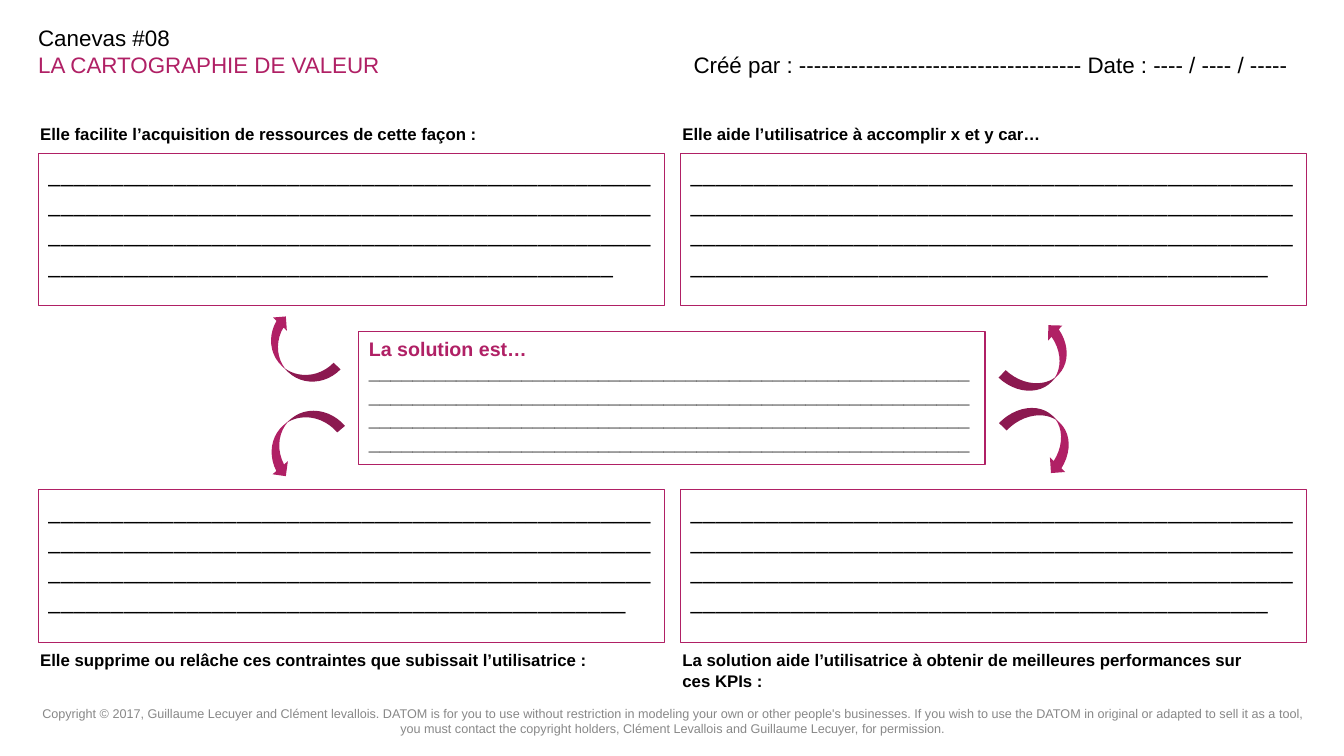
import pptx
import pptx.util
import pptx.dml.color
import pptx.enum.shapes
import pptx.enum.text

Inches = pptx.util.Inches
Pt = pptx.util.Pt
Align = pptx.enum.text.PP_ALIGN
Preset = pptx.enum.shapes.MSO_SHAPE
COLORS = {"accent": "B02065", "ink": "000000", "muted": "888888"}

deck = pptx.Presentation()
deck.slide_width, deck.slide_height = Inches(13.33), Inches(7.5)
canvas = deck.slides.add_slide(deck.slide_layouts[6])


def prepare(holder, inset_y, anchor=pptx.enum.text.MSO_ANCHOR.TOP):
    frame = holder.text_frame
    settings = {"word_wrap": True, "vertical_anchor": anchor,
                "margin_left": Inches(0.1), "margin_right": Inches(0.1),
                "margin_top": Inches(inset_y), "margin_bottom": Inches(inset_y)}
    for key, value in settings.items():
        setattr(frame, key, value)
    return frame


def write(paragraph, words, size, color="ink", bold=False, face="Arial", align=Align.LEFT):
    paragraph.alignment = align
    run = paragraph.add_run()
    run.text = words
    for key, value in {"size": Pt(size), "bold": bold, "name": face}.items():
        setattr(run.font, key, value)
    run.font.color.rgb = pptx.dml.color.RGBColor.from_string(COLORS[color])


margin, column_step = 0.38, 6.37
first_row, row_step = 1.52, 3.34
box_width, box_height = 6.21, 1.51
header_top, header_width, header_height = 0.14, 6.39, 0.44

copyright_box = canvas.shapes.add_textbox(Inches(0.31), Inches(6.94), Inches(12.72), Inches(0.56))
copyright_text = prepare(copyright_box, 0.05, pptx.enum.text.MSO_ANCHOR.MIDDLE)
copyright_text.margin_bottom = Inches(0.19)
write(copyright_text.paragraphs[0],
      "Copyright © 2017, Guillaume Lecuyer and Clément levallois. DATOM is for you to use without "
      "restriction in modeling your own or other people's businesses. If you wish to use the DATOM "
      "in original or adapted to sell it as a tool, you must contact the copyright holders, "
      "Clément Levallois and Guillaume Lecuyer, for permission.",
      9, "muted", align=Align.CENTER)

headers = []
for left in (0.28, 6.78):
    header = canvas.shapes.add_textbox(Inches(left), Inches(header_top),
                                       Inches(header_width), Inches(header_height))
    headers.append(prepare(header, 0.1).paragraphs[0])
title, author = headers
write(title, "Canevas #08", 16)
title.add_line_break()
write(title, "LA CARTOGRAPHIE DE VALEUR", 16, "accent")
write(author, "Créé par : " + "-" * 38 + " Date : ---- / ---- / -----", 16)
author.line_spacing = 2.0
author.space_after = Pt(6)

quadrants = [
    (0, 0, "Elle facilite l’acquisition de ressources de cette façon :", 189),
    (1, 0, "Elle aide l’utilisatrice à accomplir x et y car…", 190),
    (0, 1, "Elle supprime ou relâche ces contraintes que subissait l’utilisatrice :", 190),
    (1, 1, "La solution aide l’utilisatrice à obtenir de meilleures performances sur ces KPIs :", 190),
]
label_rows = [(1.13, 0.39), (6.35, 0.69)]
answers = []
for column, row, question, blanks in quadrants:
    left = margin + column * column_step
    label_top, label_height = label_rows[row]
    label = canvas.shapes.add_textbox(Inches(left - 0.08), Inches(label_top),
                                      Inches(6.06), Inches(label_height))
    write(prepare(label, 0.1).paragraphs[0], question, 12, bold=True)
    answers.append((left, first_row + row * row_step, box_height, blanks))

solution_left, solution_top, solution_height = 3.56, 3.29, 1.32
answers.append((solution_left, solution_top, solution_height, 220))
for left, top, height, blanks in answers:
    answer = canvas.shapes.add_shape(Preset.RECTANGLE, Inches(left), Inches(top),
                                     Inches(box_width), Inches(height))
    answer.shadow.inherit = False
    answer.fill.background()
    answer.line.color.rgb = pptx.dml.color.RGBColor.from_string(COLORS["accent"])
    answer.line.width = Pt(0.75)
    frame = prepare(answer, 0.05)
    if top == solution_top:
        write(frame.paragraphs[0], "La solution est…", 14, "accent", bold=True)
        write(frame.add_paragraph(), "_" * blanks, 14, bold=True)
    else:
        write(frame.paragraphs[0], "_" * blanks, 18, face="Calibri", align=Align.JUSTIFY)

arrows = [
    (2.75, 3.08, 0.38, 0.85, 134.1, True),
    (10.13, 3.18, 0.41, 0.82, 223.5, False),
    (10.14, 3.92, 0.42, 0.82, 313.9, True),
    (2.76, 3.92, 0.4, 0.87, 49.6, False),
]
for left, top, width, height, angle, flipped in arrows:
    arrow = canvas.shapes.add_shape(Preset.CURVED_RIGHT_ARROW, Inches(left), Inches(top),
                                    Inches(width), Inches(height))
    arrow.shadow.inherit = False
    arrow.fill.solid()
    arrow.fill.fore_color.rgb = pptx.dml.color.RGBColor.from_string(COLORS["accent"])
    arrow.line.fill.background()
    arrow.rotation = angle
    for position, share in enumerate((0.25, 0.5, 0.25)):
        arrow.adjustments[position] = share
    if flipped:
        arrow._element.spPr.xfrm.set("flipH", "1")

deck.save("out.pptx")
